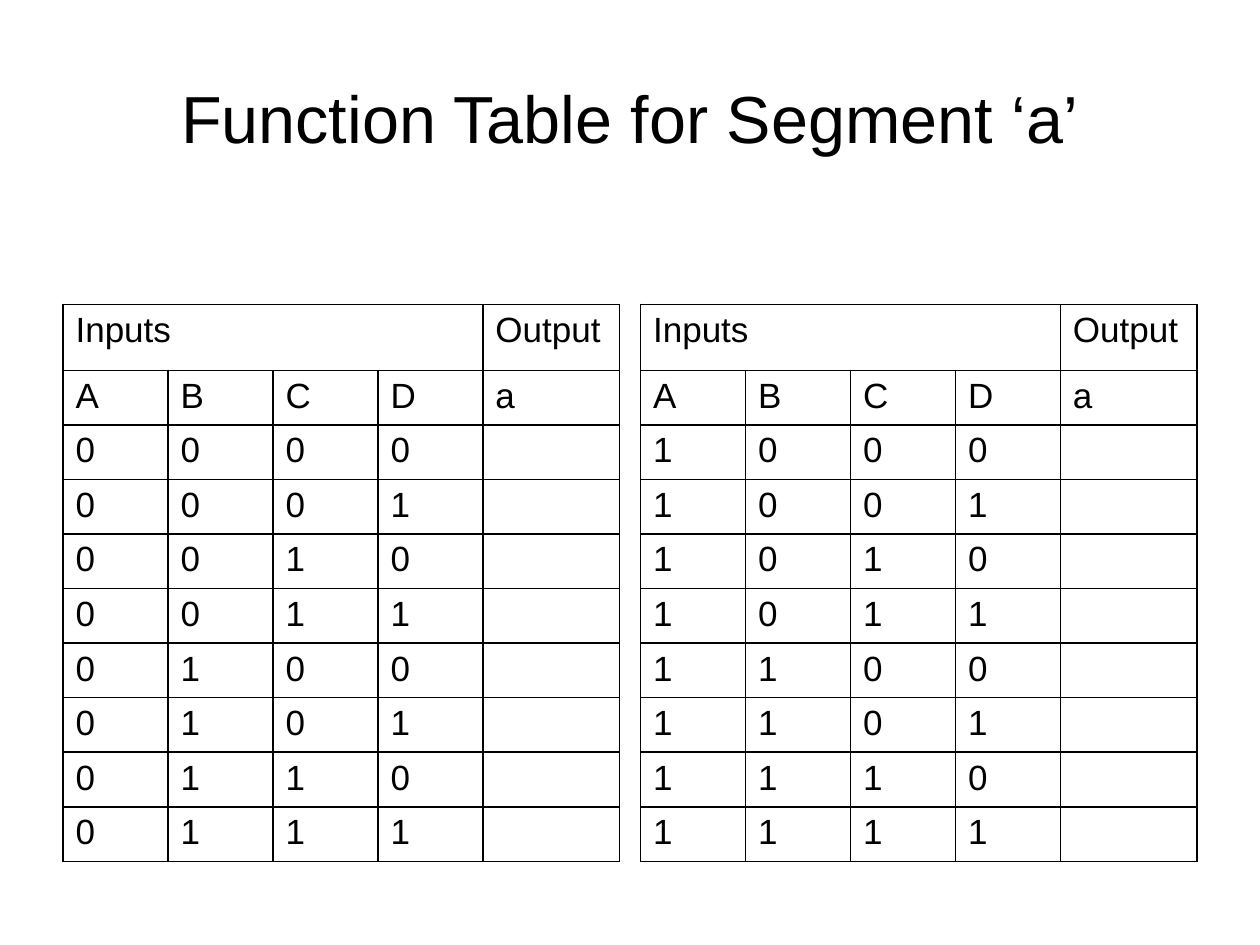
import itertools

import pptx
import pptx.dml.color
import pptx.enum.text
import pptx.oxml.ns
import pptx.util
from lxml import etree

Pt = pptx.util.Pt
ALIGN = pptx.enum.text.PP_ALIGN
BLACK = "000000"
COLUMN_WIDTHS = [60] * 4 + [78]
ROW_HEIGHTS = [37.6] + [31.2] * 9


def set_font(paragraph, size, color=BLACK):
    paragraph.font.name = "Arial"
    paragraph.font.size = Pt(size)
    paragraph.font.color.rgb = pptx.dml.color.RGBColor.from_string(color)


def add_borders(cell, width=1, color=BLACK):
    properties = cell._tc.get_or_add_tcPr()
    qn = pptx.oxml.ns.qn
    for side in ("a:lnL", "a:lnR", "a:lnT", "a:lnB"):
        line = etree.SubElement(properties, qn(side), w=str(Pt(width)))
        fill = etree.SubElement(line, qn("a:solidFill"))
        etree.SubElement(fill, qn("a:srgbClr"), val=color)


def place_title(slide, left, top, width, height):
    title = slide.shapes.title
    title.left, title.top = Pt(left), Pt(top)
    title.width, title.height = Pt(width), Pt(height)
    title.text_frame.text = "Function Table for Segment ‘a’"
    title.text_frame.vertical_anchor = pptx.enum.text.MSO_ANCHOR.MIDDLE
    heading = title.text_frame.paragraphs[0]
    heading.alignment = ALIGN.CENTER
    set_font(heading, 38)


def add_truth_table(slide, left, top, first_bit, hanging=0):
    """Lists every B, C, D combination for one value of A, output left open."""
    rows = [["Inputs", "", "", "", "Output"], ["A", "B", "C", "D", "a"]]
    rows += [[first_bit, *bits, ""] for bits in itertools.product("01", repeat=3)]
    table = slide.shapes.add_table(
        len(rows), len(COLUMN_WIDTHS), Pt(left), Pt(top),
        Pt(sum(COLUMN_WIDTHS)), Pt(sum(ROW_HEIGHTS))).table
    table.first_row = table.horz_banding = False
    for column, width in zip(table.columns, COLUMN_WIDTHS):
        column.width = Pt(width)
    for row, height, values in zip(table.rows, ROW_HEIGHTS, rows):
        row.height = Pt(height)
        for cell, value in zip(row.cells, values):
            add_borders(cell)
            cell.fill.background()
            cell.text = value
            entry = cell.text_frame.paragraphs[0]
            entry.alignment = ALIGN.JUSTIFY
            if hanging and value:
                indents = entry._p.get_or_add_pPr()
                indents.set("marL", str(Pt(hanging)))
                indents.set("indent", str(-Pt(hanging)))
            set_font(entry, 20)
    table.cell(0, 0).merge(table.cell(0, 3))


def main():
    presentation = pptx.Presentation()
    presentation.slide_width, presentation.slide_height = Pt(720), Pt(540)
    slide = presentation.slides.add_slide(presentation.slide_layouts[5])
    place_title(slide, 36, 21.6, 648, 90)
    add_truth_table(slide, 36, 174, "0", hanging=27)
    add_truth_table(slide, 366, 174, "1")
    presentation.save("out.pptx")


if __name__ == "__main__":
    main()
